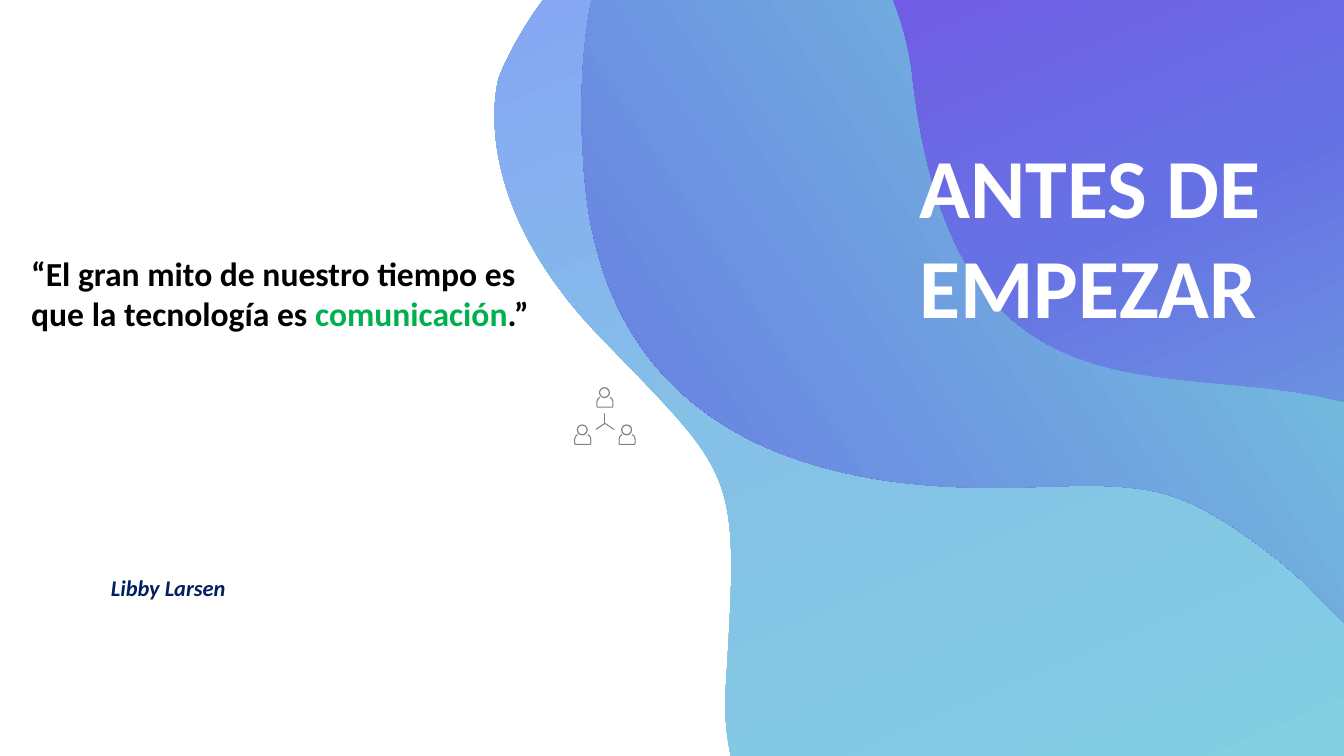
from math import cos, radians, sin

from lxml.etree import SubElement
from pptx import Presentation
from pptx.dml.color import RGBColor
from pptx.enum.shapes import MSO_CONNECTOR as Connector, MSO_SHAPE as Preset
from pptx.enum.text import MSO_ANCHOR as Anchor, MSO_AUTO_SIZE as AutoSize, PP_ALIGN as Align
from pptx.oxml.ns import qn
from pptx.util import Inches, Pt

BLACK = RGBColor(0x00, 0x00, 0x00)
WHITE = RGBColor(0xFF, 0xFF, 0xFF)
GREEN = RGBColor(0x00, 0xB0, 0x50)
NAVY = RGBColor(0x00, 0x20, 0x60)
GRAY = RGBColor(0x80, 0x80, 0x80)
AQUA = RGBColor(0x80, 0xDE, 0xDE)
SKY = RGBColor(0x85, 0xC1, 0xE7)
PERIWINKLE = RGBColor(0x87, 0x8C, 0xFF)
MINT = RGBColor(0x7C, 0xEF, 0xD8)
BLUE = RGBColor(0x66, 0x72, 0xE4)
PURPLE = RGBColor(0x88, 0x2B, 0xE5)

WAVE_TURN = 157

# Each outline is a start point followed by three points per curve.
PALE_WAVE = [
    (9.2, 1.06), (9.71, 5.56), (12.9, 3.15), (14.67, 4.96),
    (16.45, 6.76), (15.81, 8.11), (15.28, 8.4),
    (14.75, 8.69), (14.29, 8.66), (13.75, 7.87),
    (13.2, 7.07), (11.53, 7.96), (10.38, 8.56),
    (9.24, 9.16), (7.06, 8.93), (7.2, 6.79),
    (7.33, 4.64), (7.32, 4.76), (5.95, 3.34),
    (4.58, 1.92), (4.95, 0.76), (4.95, 0.76),
    (4.95, 0.76), (5.68, -1.15), (7.37, -0.98),
    (9.07, -0.81), (9.2, 1.06), (9.2, 1.06),
]
PURPLE_WAVE = [
    (7.32, -1.86), (7.32, -1.86), (5.56, -1.59), (5.79, 1.67),
    (6.01, 4.92), (9.18, 4.87), (10.31, 4.83),
    (11.44, 4.79), (11.72, 4.83), (12.62, 5.51),
    (13.52, 6.2), (14.13, 7.55), (15.28, 6.26),
    (16.43, 4.96), (14.26, 3.58), (13.96, 3.01),
    (13.66, 2.44), (14.22, 0.99), (13.71, 0.43),
    (13.21, -0.12), (12.86, -0.8), (10.49, -0.6),
    (10.49, -0.6), (9.33, -0.22), (8.44, -1.46),
    (8.44, -1.46), (7.88, -2.14), (7.32, -1.86),
]
BLUE_WAVE = [
    (5.79, 1.67), (5.68, 0.19), (5.99, -0.67), (6.35, -1.18),
    (6.61, -1.27), (6.89, -1.3), (7.21, -1.28),
    (8.9, -1.11), (9.04, 0.76), (9.04, 0.76),
    (9.55, 5.26), (12.74, 2.85), (14.51, 4.66),
    (14.99, 5.14), (15.29, 5.6), (15.47, 6),
    (15.42, 6.09), (15.36, 6.17), (15.29, 6.25),
    (14.13, 7.55), (13.52, 6.2), (12.62, 5.51),
    (11.72, 4.83), (11.44, 4.79), (10.31, 4.83),
    (9.18, 4.87), (6.01, 4.92), (5.79, 1.67),
]
SHOULDERS = [
    (5.95, 3.94), (5.93, 3.95), (5.92, 3.97), (5.92, 3.99),
    (5.92, 4), (5.92, 4.01), (5.92, 4.02),
    (5.92, 4.04), (5.92, 4.04), (5.94, 4.04),
    (5.98, 4.04), (6.02, 4.04), (6.06, 4.04),
    (6.08, 4.04), (6.08, 4.04), (6.08, 4.02),
    (6.08, 4.01), (6.08, 4), (6.08, 3.99),
    (6.08, 3.97), (6.07, 3.95), (6.05, 3.94),
]


def turn(point, degrees):
    """Rotate a point clockwise about the slide's top left corner."""
    x, y = point
    c, s = cos(radians(degrees)), sin(radians(degrees))
    return x * c - y * s, x * s + y * c


def write(frame, spans, size, italic=False):
    """Fill a text frame with one paragraph of (text, colour) spans."""
    frame.word_wrap = True
    frame.auto_size = AutoSize.SHAPE_TO_FIT_TEXT
    frame.vertical_anchor = Anchor.TOP
    para = frame.paragraphs[0]
    para.alignment = Align.LEFT
    for text, color in spans:
        span = para.add_run()
        span.text = text
        span.font.name = "Calibri"
        span.font.size = Pt(size)
        span.font.bold = True
        span.font.italic = italic
        span.font.color.rgb = color


class Painter:
    def __init__(self, page, ink=GRAY, stroke=0.75):
        self.page, self.ink, self.stroke = page, ink, Pt(stroke)

    def title(self, text, place, size, color):
        box = self.page.shapes.title
        box.left, box.top, box.width, box.height = map(Inches, place)
        write(box.text_frame, [(text, color)], size)
        self.page.shapes.element.append(box.element)  # bring to front

    def text(self, spans, place, size, **style):
        frame = self.page.shapes.add_textbox(*map(Inches, place)).text_frame
        frame.margin_left = frame.margin_top = frame.margin_right = frame.margin_bottom = 0
        write(frame, spans, size, **style)

    def curve(self, points, closed=False):
        """Draw a freeform whose points after the first go in Bézier triples."""
        start, *rest = [(Inches(x), Inches(y)) for x, y in points]
        builder = self.page.shapes.build_freeform(*start)
        builder.add_line_segments(rest, close=False)
        shape = builder.convert_to_shape()
        shape.shadow.inherit = False
        outline = shape.element.find(".//" + qn("a:path"))
        lines = outline.findall(qn("a:lnTo"))
        for first in range(0, len(lines), 3):
            bezier = SubElement(outline, qn("a:cubicBezTo"))
            for line in lines[first:first + 3]:
                bezier.append(line[0])
                outline.remove(line)
        if closed:
            SubElement(outline, qn("a:close"))
        return shape

    def wave(self, points, stops, angle):
        """Draw a rotated, gradient-filled outline given as it appears on the slide."""
        shape = self.curve([turn(point, -WAVE_TURN) for point in points], closed=True)
        middle = shape.left + shape.width / 2, shape.top + shape.height / 2
        x, y = turn(middle, WAVE_TURN)
        shape.left, shape.top = int(x - shape.width / 2), int(y - shape.height / 2)
        shape.rotation = WAVE_TURN
        shape.line.fill.background()
        shape.fill.gradient()
        shape.fill.gradient_angle = 360 - angle
        stop_list = shape.element.find(".//" + qn("a:gsLst"))
        for old in list(stop_list):
            stop_list.remove(old)
        for percent, color in stops:
            stop = SubElement(stop_list, qn("a:gs"), pos=str(percent * 1000))
            SubElement(stop, qn("a:srgbClr"), val=str(color))

    def person(self, dx, dy):
        head = self.page.shapes.add_shape(
            Preset.DONUT, Inches(5.94 + dx), Inches(3.84 + dy), Inches(0.11), Inches(0.11))
        head.adjustments[0] = 0.11
        head.shadow.inherit = False
        head.fill.solid()
        head.fill.fore_color.rgb = self.ink
        head.line.fill.background()
        body = self.curve([(x + dx, y + dy) for x, y in SHOULDERS])
        body.fill.background()
        body.line.color.rgb = self.ink
        body.line.width = self.stroke

    def spoke(self, start, end):
        line = self.page.shapes.add_connector(Connector.STRAIGHT, *map(Inches, start + end))
        line.line.color.rgb = self.ink
        line.line.width = self.stroke
        SubElement(line.element.spPr, qn("a:effectLst"))


def main():
    deck = Presentation()
    deck.slide_width, deck.slide_height = Inches(13.33), Inches(7.5)
    painter = Painter(deck.slides.add_slide(deck.slide_layouts[5]))

    painter.wave(PALE_WAVE, [(0, AQUA), (54, SKY), (100, PERIWINKLE)], 90)
    painter.wave(PURPLE_WAVE, [(0, MINT), (51, BLUE), (100, PURPLE)], 90)
    painter.wave(BLUE_WAVE, [(0, PURPLE), (19, BLUE), (100, MINT)], 170)

    painter.text([("“El gran mito de nuestro tiempo es que la tecnología es ", BLACK),
                  ("comunicación", GREEN), (".”", BLACK)], (0.31, 2.51, 5.16, 1.35), 24)
    painter.text([("Libby Larsen", NAVY)], (1.1, 5.7, 3.87, 0.27), 16, italic=True)

    for dx, dy in [(0, 0), (-0.22, 0.37), (0.22, 0.37)]:
        painter.person(dx, dy)
    for end in [(6, 4.1), (5.91, 4.26), (6.09, 4.26)]:
        painter.spoke((6, 4.2), end)

    painter.title("ANTES DE EMPEZAR", (9.02, 1.28, 3.88, 2.12), 60, WHITE)
    deck.save("out.pptx")


if __name__ == "__main__":
    main()
